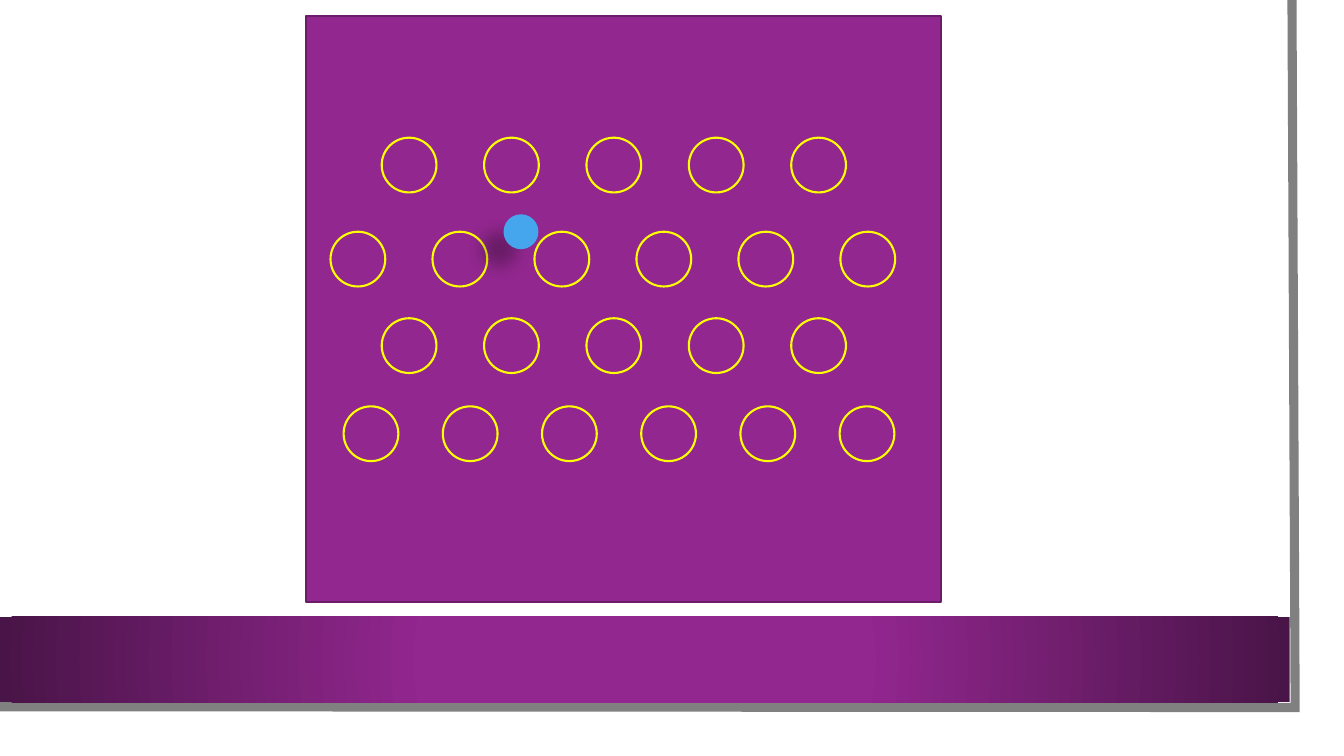
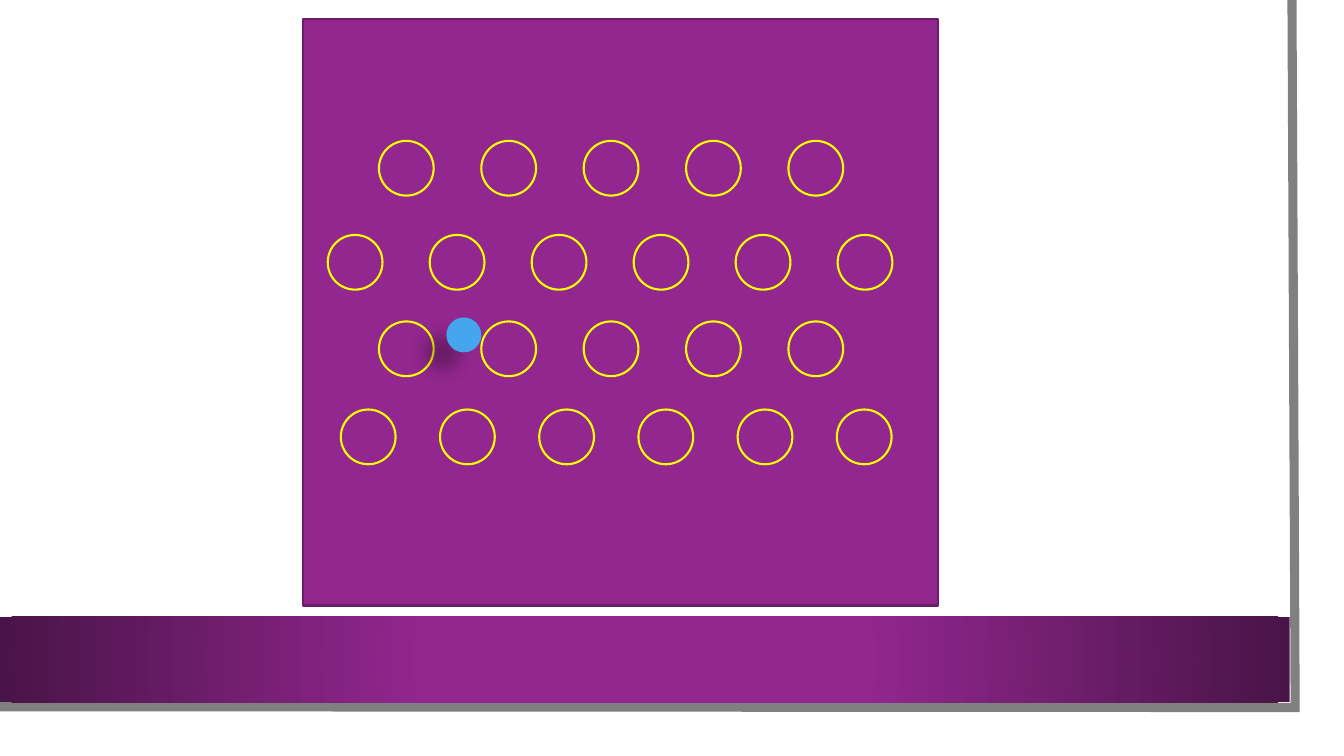
from lxml import etree
from pptx import Presentation
from pptx import util as u
from pptx.dml.color import RGBColor
from pptx.enum.shapes import MSO_SHAPE
from pptx.oxml import parse_xml
from pptx.oxml.ns import nsdecls

COLOURS = {
    "paper": "FFFFFF",
    "edge": "808080",
    "purple": "92278F",
    "deep_purple": "491447",
    "board_line": "6C1D6A",
    "peg_line": "FFFF00",
    "ball": "45A5ED",
    "shadow": "000000",
}

BOARD_WIDTH, BOARD_HEIGHT = 16, 14.78
PEG_SIZE, BALL_SIZE = 1.38, 0.88
# Peg rows in cm from the board's corner: left, top, pitch, count
PEG_ROWS = [
    (1.91, 3.07, 2.58, 5),
    (0.62, 5.44, 2.57, 6),
    (1.91, 7.62, 2.58, 5),
    (0.95, 9.84, 2.5, 6),
]
# Board corner on the slide, then ball corner on the board, in cm
STEPS = [
    ((7.71, 0.4), (4.98, 5)),
    ((7.64, 0.48), (3.61, 7.52)),
]


def colour(name):
    return RGBColor.from_string(COLOURS[name])


def add_figure(shapes, kind, left, top, width, height, fill, line=None):
    """Add a flat preset shape; lengths are in cm."""
    shape = shapes.add_shape(kind, u.Cm(left), u.Cm(top), u.Cm(width), u.Cm(height))
    shape.shadow.inherit = False
    shape.fill.solid()
    shape.fill.fore_color.rgb = colour(fill)
    if line:
        shape.line.color.rgb = colour(line)
        shape.line.width = u.Pt(1.5)
    else:
        shape.line.fill.background()
    return shape


def set_radial_fill(shape, inner, outer):
    """Fill with a gradient that spreads from the centre."""
    gradient = parse_xml(
        f'<a:gradFill {nsdecls("a")} rotWithShape="1"><a:gsLst>'
        f'<a:gs pos="34000"><a:srgbClr val="{COLOURS[inner]}"/></a:gs>'
        f'<a:gs pos="100000"><a:srgbClr val="{COLOURS[outer]}"/></a:gs>'
        '</a:gsLst><a:path path="circle">'
        '<a:fillToRect l="50000" t="50000" r="50000" b="50000"/>'
        '</a:path></a:gradFill>')
    properties = shape.element.spPr
    solid = properties.find("{*}solidFill")
    properties.replace(solid, gradient)


def set_shadow(shape, blur, distance, angle, opacity):
    """Cast a soft outer shadow; blur and distance are in points."""
    effects = shape.element.spPr.find("{*}effectLst")
    effects.append(parse_xml(
        f'<a:outerShdw {nsdecls("a")} blurRad="{u.Pt(blur)}" dist="{u.Pt(distance)}" '
        f'dir="{angle * 60000}" algn="ctr" rotWithShape="0">'
        f'<a:srgbClr val="{COLOURS["shadow"]}"><a:alpha val="{opacity * 1000}"/>'
        '</a:srgbClr></a:outerShdw>'))


def add_frame(slide):
    """Draw the sheet, its grey edge and the bottom band."""
    shapes = slide.shapes.add_group_shape().shapes
    add_figure(shapes, MSO_SHAPE.RECTANGLE, 0, 0, 33.27, 18.47, "paper")

    # Grey edge along the right and bottom
    outline = shapes.build_freeform(u.Cm(32.56), 0)
    outline.add_line_segments(
        [(u.Cm(32.64), u.Cm(17.83)), (u.Cm(-0.08), u.Cm(17.81))], close=False)
    edge = outline.convert_to_shape()
    edge.shadow.inherit = False
    edge.fill.background()
    edge.line.color.rgb = colour("edge")
    edge.line.width = u.Pt(6.5)
    etree.SubElement(edge.line._get_or_add_ln(),
                     "{http://schemas.openxmlformats.org/drawingml/2006/main}miter",
                     lim="800000")

    # Bottom band
    band = add_figure(shapes, MSO_SHAPE.RECTANGLE, 0, 15.54, 32.5, 2.16, "purple")
    set_radial_fill(band, "purple", "deep_purple")


def add_pegboard(slide, corner, ball_corner):
    """Draw the board with its rows of pegs and the falling ball."""
    left, top = corner
    shapes = slide.shapes.add_group_shape().shapes
    add_figure(shapes, MSO_SHAPE.RECTANGLE, left, top, BOARD_WIDTH, BOARD_HEIGHT,
               "purple", "board_line")

    # Pegs
    for row_left, row_top, pitch, count in PEG_ROWS:
        for column in range(count):
            add_figure(shapes, MSO_SHAPE.OVAL, left + row_left + column * pitch,
                       top + row_top, PEG_SIZE, PEG_SIZE, "purple", "peg_line")

    # Ball
    ball_left, ball_top = ball_corner
    ball = add_figure(shapes, MSO_SHAPE.OVAL, left + ball_left, top + ball_top,
                      BALL_SIZE, BALL_SIZE, "ball")
    set_shadow(ball, blur=11.8, distance=19.7, angle=141, opacity=28)


def main():
    presentation = Presentation()
    presentation.slide_width, presentation.slide_height = u.Cm(33.87), u.Cm(19.05)
    for corner, ball_corner in STEPS:
        slide = presentation.slides.add_slide(presentation.slide_layouts[6])
        add_frame(slide)
        add_pegboard(slide, corner, ball_corner)
    presentation.save("out.pptx")


if __name__ == "__main__":
    main()
